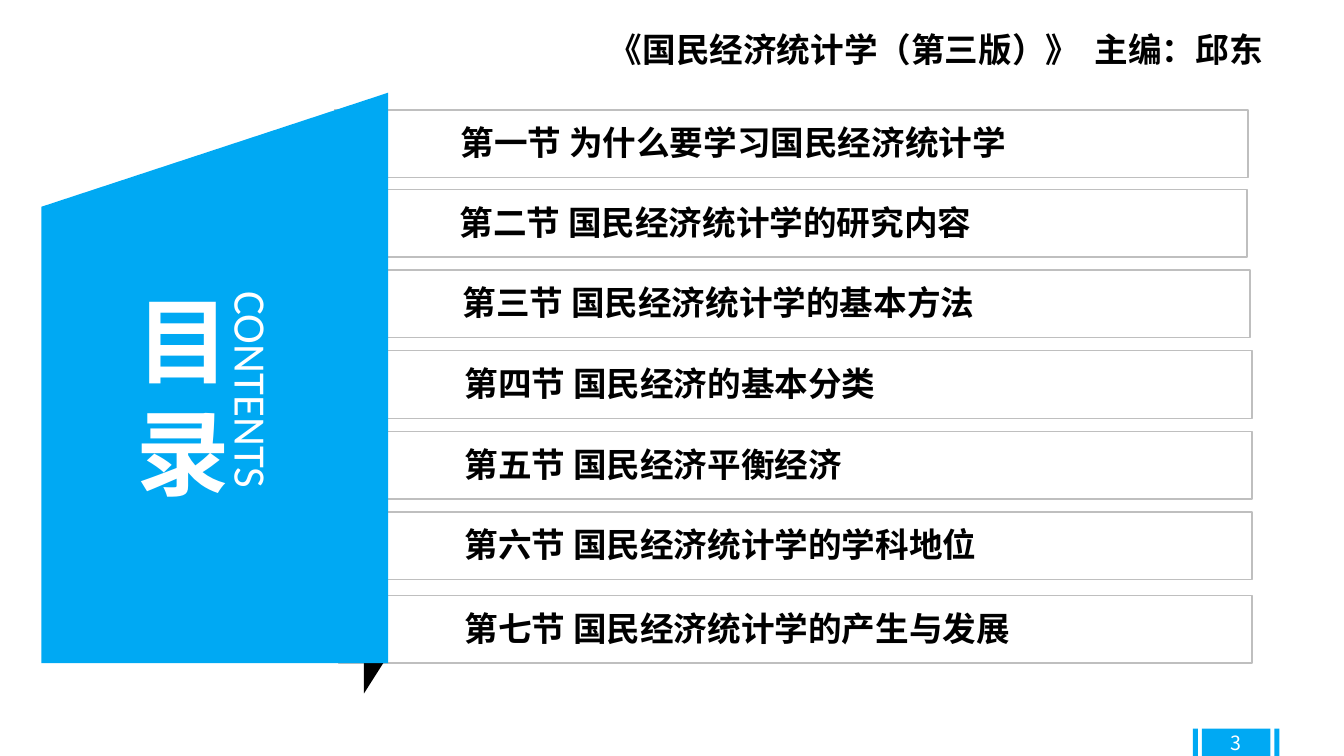
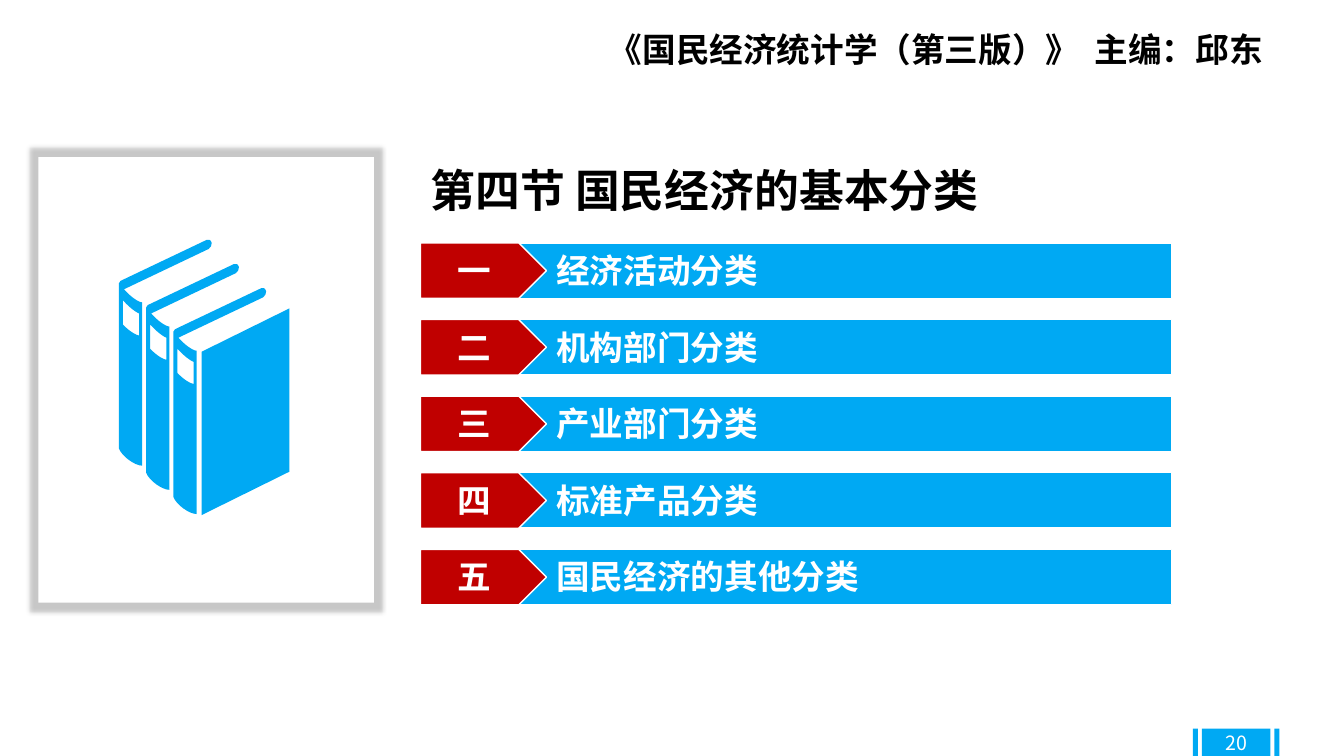
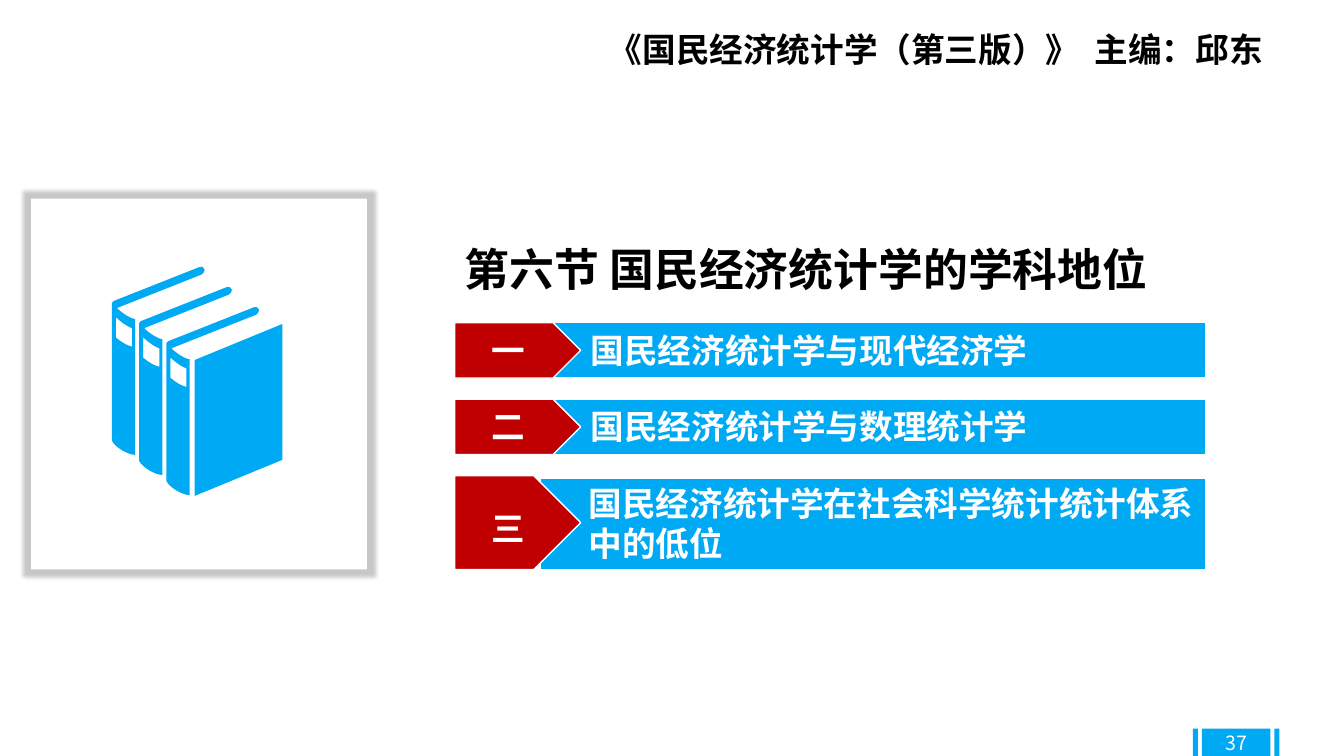
from lxml import etree
from pptx import Presentation
from pptx.dml.color import RGBColor
from pptx.enum.shapes import MSO_SHAPE
from pptx.enum.text import MSO_ANCHOR, MSO_AUTO_SIZE, PP_ALIGN
from pptx.oxml.ns import qn
from pptx.util import Pt

RECTANGLE = MSO_SHAPE.RECTANGLE
MANUAL_INPUT = MSO_SHAPE.FLOWCHART_MANUAL_INPUT
ARROW_TAG = MSO_SHAPE.PENTAGON
TOP, MIDDLE = MSO_ANCHOR.TOP, MSO_ANCHOR.MIDDLE
LEFT, CENTER, JUSTIFY = PP_ALIGN.LEFT, PP_ALIGN.CENTER, PP_ALIGN.JUSTIFY

SCALE = 9144
SLIDE_SIZE = (1333, 750)
CJK, LATIN = "Noto Sans CJK SC", "Calibri"
COLORS = {
    "blue": "00A9F3",
    "navy": "006592",
    "red": "C00000",
    "white": "FFFFFF",
    "black": "000000",
    "border": "BFBFBF",
}

HEADER = "《国民经济统计学（第三版）》  主编：邱东"
BAND_TOPS = [96, 708]
BAND_HEIGHT = 13
FOOTER_BARS = [(1183, 5), (1192, 68), (1264, 5)]

CONTENTS = {
    "number": "3",
    "title": "目录",
    "subtitle": "CONTENTS",
    "rows": [
        (336, 591, "第七节 国民经济统计学的产生与发展"),
        (336, 508, "第六节 国民经济统计学的学科地位"),
        (336, 428, "第五节 国民经济平衡经济"),
        (336, 348, "第四节 国民经济的基本分类"),
        (334, 268, "第三节 国民经济统计学的基本方法"),
        (331, 188, "第二节 国民经济统计学的研究内容"),
        (332, 109, "第一节 为什么要学习国民经济统计学"),
    ],
}
FOLDS = [
    ("black", [(382, 655), (361, 688), (361, 674, 361, 638, 361, 625),
               (382, 592), (382, 604, 382, 643, 382, 655)]),
    ("navy", [(330, 180), (351, 147), (351, 161, 351, 197, 351, 210),
              (331, 243), (331, 231, 330, 192, 330, 180)]),
]

SECTIONS = [
    {
        "number": "20",
        "title": "第四节 国民经济的基本分类",
        "at": (417, 156),
        "frame": (38, 156, 333, 442),
        "books": (118, 237, 274),
        "items": [
            ("一", ["经济活动分类"]),
            ("二", ["机构部门分类"]),
            ("三", ["产业部门分类"]),
            ("四", ["标准产品分类"]),
            ("五", ["国民经济的其他分类"]),
        ],
    },
    {
        "number": "37",
        "title": "第六节 国民经济统计学的学科地位",
        "at": (451, 235),
        "frame": (31, 197, 333, 368),
        "books": (111, 264, 228),
        "items": [
            ("一", ["国民经济统计学与现代经济学"]),
            ("二", ["国民经济统计学与数理统计学"]),
            ("三", ["国民经济统计学在社会科学统计统计体系", "中的低位"]),
        ],
    },
]
FIRST_ITEM_DROP, ITEM_PITCH, ITEM_HEIGHT, TALL_HEIGHT = 85, 76, 55, 93

BOOKS_HEIGHT = 274
BOOK_STEP = (27, 24)
BOOK_COUNT = 3
SPINE = [
    (92, 4), (91, 1, 89, 0, 87, 1), (3, 41), (2, 41, 1, 42, 0, 44),
    (0, 208), (3, 216, 16, 225, 23, 225), (23, 63),
    (19, 63, 10, 56, 5, 50), (89, 10), (91, 9, 92, 6, 92, 4),
]
SPINE_LABEL = [
    (20, 74), (20, 96), (12, 94, 4, 85, 4, 85), (4, 61),
    (14, 72, 20, 74, 20, 74),
]
FRONT_COVER = [(82, 112), (82, 274), (169, 231), (169, 69)]


def emu(px):
    return round(px * SCALE)


def color(name):
    return RGBColor.from_string(COLORS[name])


def write(box, lines, size=24, fill="black", bold=True, font=CJK,
          align=LEFT, anchor=TOP):
    frame = box.text_frame
    frame.word_wrap = True
    frame.auto_size = MSO_AUTO_SIZE.NONE
    frame.vertical_anchor = anchor
    for index, line in enumerate(lines):
        para = frame.add_paragraph() if index else frame.paragraphs[0]
        para.alignment = align
        span = para.add_run()
        span.text = line
        span.font.size = Pt(size)
        span.font.bold = bold
        span.font.color.rgb = color(fill)
        span.font.name = font
        properties = span.font._element
        etree.SubElement(properties, qn("a:ea"), typeface=font)


def add_text(page, text, at, **style):
    box = page.shapes.add_textbox(*map(emu, at))
    write(box, [text] if isinstance(text, str) else text, **style)
    return box


def paint(shape, fill, line=None):
    shape.shadow.inherit = False
    shape.fill.solid()
    shape.fill.fore_color.rgb = color(fill)
    if line:
        shape.line.color.rgb = color(line)
        shape.line.width = Pt(1)
    else:
        shape.line.fill.background()
    return shape


def add_block(page, at, fill, line=None, kind=RECTANGLE):
    return paint(page.shapes.add_shape(kind, *map(emu, at)), fill, line)


def pairs(segment):
    return list(zip(segment[::2], segment[1::2]))


def merge_curves(shape, contours):
    steps = iter(list(next(shape._element.iter(qn("a:path")))))
    for contour in contours:
        for segment in contour:
            first = next(steps)
            if len(segment) == 6:
                first.tag = qn("a:cubicBezTo")
                for extra in (next(steps), next(steps)):
                    first.append(extra[0])
                    extra.getparent().remove(extra)
        next(steps)


def add_outline(page, contours, fill):
    scaled = [[(emu(x), emu(y)) for segment in contour
               for x, y in pairs(segment)] for contour in contours]
    builder = page.shapes.build_freeform(*scaled[0][0], scale=1.0)
    for index, points in enumerate(scaled):
        if index:
            builder.move_to(*points[0])
        builder.add_line_segments(points[1:], close=False)
        builder.add_line_segments([], close=True)
    shape = builder.convert_to_shape()
    merge_curves(shape, contours)
    return paint(shape, fill)


def add_books(page, left, top, height):
    stretch = height / BOOKS_HEIGHT
    parts = [(FRONT_COVER, 0)]
    parts += [(part, book) for book in reversed(range(BOOK_COUNT))
              for part in (SPINE_LABEL, SPINE)]
    placed = []
    for part, book in parts:
        right, down = (step * book for step in BOOK_STEP)
        placed.append([
            tuple(value for x, y in pairs(segment)
                  for value in (left + right + x, top + (down + y) * stretch))
            for segment in part])
    add_outline(page, placed, "blue")


def add_glow_shadow(shape):
    effects = shape._element.spPr.find(qn("a:effectLst"))
    shadow = etree.SubElement(effects, qn("a:outerShdw"), blurRad="40000",
                              sx="105000", sy="104000", algn="ctr",
                              rotWithShape="0")
    tint = etree.SubElement(shadow, qn("a:srgbClr"), val=COLORS["black"])
    etree.SubElement(tint, qn("a:alpha"), val="22000")


def place_title(page, text, at, **style):
    title = page.shapes.title
    title.left, title.top, title.width, title.height = map(emu, at)
    write(title, [text], align=JUSTIFY, **style)
    title._element.getparent().append(title._element)


def start_page(deck, number):
    page = deck.slides.add_slide(deck.slide_layouts.get_by_name("Title Only"))
    for top in BAND_TOPS:
        add_block(page, (0, top, SLIDE_SIZE[0], BAND_HEIGHT), "white")
    for left, width in FOOTER_BARS:
        add_block(page, (left, 723, width, 27), "blue")
    add_text(page, number, (1192, 717, 68, 40), size=14, fill="white",
             bold=False, align=CENTER, anchor=MIDDLE)
    add_text(page, HEADER, (594, 24, 723, 50))
    return page


def build_contents(deck, content):
    page = start_page(deck, content["number"])
    for left, top, text in content["rows"]:
        add_block(page, (left, top, 906, 67), "white", line="border")
        add_text(page, text, (left + 115, top + 7, 763, 50))
    for fill, fold in FOLDS:
        add_outline(page, [fold], fill)
    add_block(page, (41, 92, 344, 566), "blue", kind=MANUAL_INPUT)
    place_title(page, content["title"], (125, 276, 74, 235), size=66.7,
                fill="white")
    subtitle = add_text(page, content["subtitle"], (110, 387, 280, 64),
                        size=32, fill="white", bold=False, font=LATIN)
    subtitle.rotation = 90


def build_section(deck, section):
    page = start_page(deck, section["number"])
    add_glow_shadow(add_block(page, section["frame"], "white"))
    add_books(page, *section["books"])
    left, top = section["at"]
    place_title(page, section["title"], (left, top, 775, 64), size=32)
    for index, (label, lines) in enumerate(section["items"]):
        row = top + FIRST_ITEM_DROP + index * ITEM_PITCH
        tall = len(lines) > 1
        height = TALL_HEIGHT if tall else ITEM_HEIGHT
        inset = 2 if tall else 0
        label_drop = 27 if tall else 2
        add_block(page, (left + 85, row + inset, 660, height - inset),
                  "blue", line="white")
        add_block(page, (left, row, 125, height), "red", line="white",
                  kind=ARROW_TAG)
        add_text(page, label, (left + 27, row + label_drop, 72, 50),
                 fill="white")
        add_text(page, lines, (left + 125 - inset, row + 2, 626, height - 5),
                 fill="white")


def main():
    deck = Presentation()
    deck.slide_width, deck.slide_height = map(emu, SLIDE_SIZE)
    build_contents(deck, CONTENTS)
    for section in SECTIONS:
        build_section(deck, section)
    deck.save("out.pptx")


if __name__ == "__main__":
    main()
